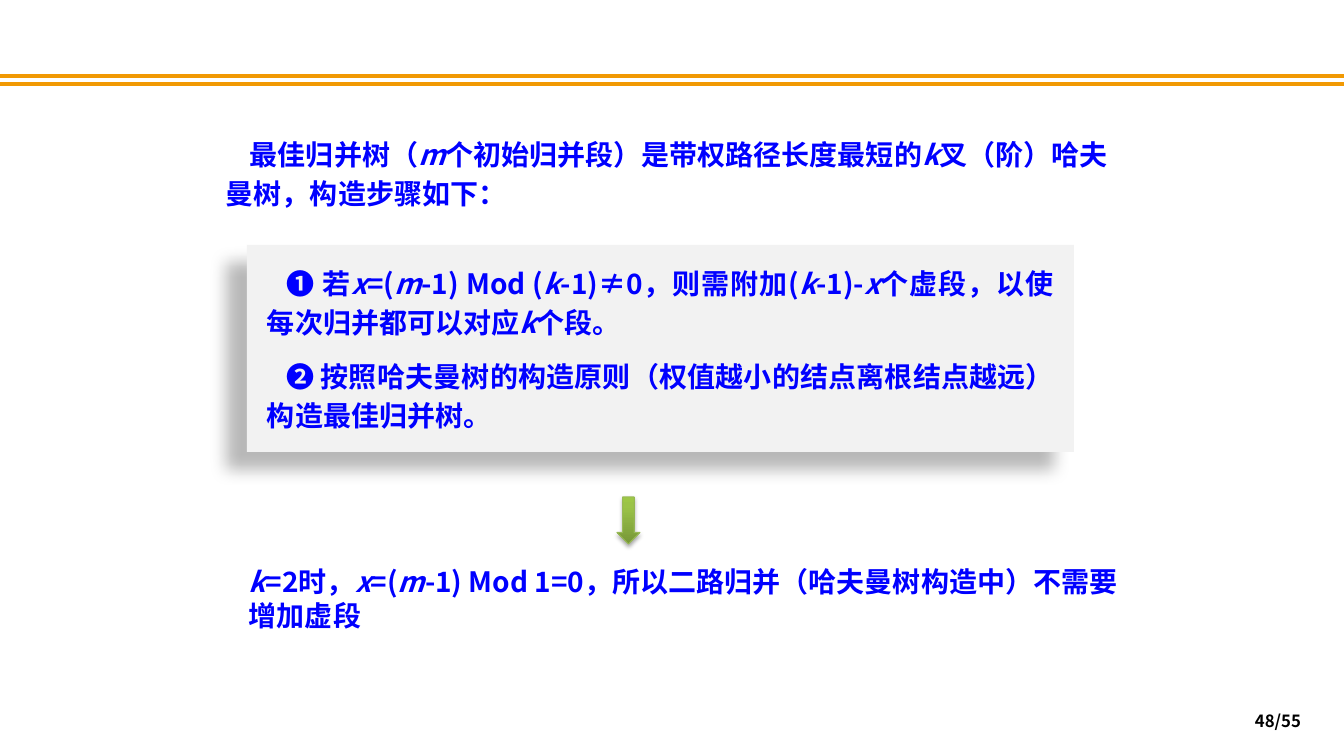
from dataclasses import dataclass

from lxml import etree
from pptx import Presentation
from pptx import util as u
from pptx.dml.color import RGBColor
from pptx.enum import shapes, text
from pptx.oxml import ns

PX = 9144000 / 1008  # EMU per px at 100.8 px to the inch
WIDTH, HEIGHT = 1344, 756


@dataclass(frozen=True)
class Theme:
    font: str = "Noto Sans CJK SC"
    rule: str = "F19903"
    card: str = "F2F2F2"
    body: str = "0000FF"
    number: str = "000000"
    shadow: str = "000000"
    arrow_line: str = "98B955"
    arrow_stops: tuple = ((0, "779737"), (80, "9BC348"), (100, "9DC746"))
    body_size: int = 20
    number_size: int = 12
    leading: int = 28
    paragraph_gap: int = 10


def px(*lengths):
    return [u.Emu(round(length * PX)) for length in lengths]


def child(parent, tag, **attributes):
    values = {name: str(value) for name, value in attributes.items()}
    return etree.SubElement(parent, ns.qn(tag), values)


class SlideBuilder:
    def __init__(self, slide, theme):
        self.slide, self.theme = slide, theme

    def rule(self, y):
        line = self.slide.shapes.add_connector(
            shapes.MSO_CONNECTOR.STRAIGHT, *px(0, y, WIDTH, y))
        line.line.color.rgb = RGBColor.from_string(self.theme.rule)
        line.line.width = u.Pt(3)
        child(line._element.spPr, "a:effectLst")

    def shadow(self, shape, alpha, blur, distance, angle):
        """Cast an outer shadow; blur and distance are in points."""
        shape.shadow.inherit = False
        effects = shape._element.spPr.find(ns.qn("a:effectLst"))
        outer = child(effects, "a:outerShdw", blurRad=u.Pt(blur), dist=u.Pt(distance),
                      dir=angle * 60000, algn="ctr", rotWithShape=0)
        color = child(outer, "a:srgbClr", val=self.theme.shadow)
        child(color, "a:alpha", val=alpha * 1000)

    def set_text(self, shape, paragraphs, size, color, align=None, leading=None,
                 indent=0, inset=None, grow=True):
        """Fill a shape with text; *x* marks italics."""
        frame = shape.text_frame
        frame.word_wrap = True
        if grow:
            frame.auto_size = text.MSO_AUTO_SIZE.SHAPE_TO_FIT_TEXT
        if inset:
            frame.margin_left, frame.margin_top = px(*inset)
            frame.margin_right, frame.margin_bottom = px(*inset)
        for index, content in enumerate(paragraphs):
            paragraph = frame.add_paragraph() if index else frame.paragraphs[0]
            paragraph.alignment = align
            if leading:
                paragraph.line_spacing = u.Pt(leading)
            if index:
                paragraph.space_before = u.Pt(self.theme.paragraph_gap)
            if indent:
                paragraph._p.get_or_add_pPr().set("indent", str(px(indent)[0]))
            font = paragraph.font
            font.size, font.bold, font.name = u.Pt(size), True, self.theme.font
            font.color.rgb = RGBColor.from_string(color)
            defaults = paragraph._p.pPr.find(ns.qn("a:defRPr"))
            child(defaults, "a:ea", typeface=self.theme.font)
            for position, part in enumerate(content.split("*")):
                if part:
                    run = paragraph.add_run()
                    run.text = part
                    if position % 2:
                        run.font.italic = True

    def body_text(self, box, content, **options):
        shape = self.slide.shapes.add_textbox(*px(*box))
        self.set_text(shape, [content], self.theme.body_size, self.theme.body, **options)

    def card(self, box, paragraphs):
        shape = self.slide.shapes.add_shape(shapes.MSO_SHAPE.RECTANGLE, *px(*box))
        shape.fill.solid()
        shape.fill.fore_color.rgb = RGBColor.from_string(self.theme.card)
        shape.line.fill.background()
        self.shadow(shape, alpha=28, blur=11.8, distance=19.7, angle=141)
        shape.text_frame.vertical_anchor = text.MSO_ANCHOR.TOP
        self.set_text(shape, paragraphs, self.theme.body_size, self.theme.body,
                      align=text.PP_ALIGN.JUSTIFY, leading=self.theme.leading,
                      indent=19, inset=(20, 16))

    def down_arrow(self, box):
        shape = self.slide.shapes.add_shape(shapes.MSO_SHAPE.DOWN_ARROW, *px(*box))
        shape.fill.gradient()
        gradient = shape._element.spPr.find(ns.qn("a:gradFill"))
        for element in list(gradient):
            gradient.remove(element)
        stops = child(gradient, "a:gsLst")
        for position, color in self.theme.arrow_stops:
            stop = child(stops, "a:gs", pos=position * 1000)
            child(stop, "a:srgbClr", val=color)
        child(gradient, "a:lin", ang=270 * 60000, scaled=0)
        shape.line.color.rgb = RGBColor.from_string(self.theme.arrow_line)
        shape.line.width = u.Pt(0.75)
        self.shadow(shape, alpha=35, blur=3.1, distance=1.8, angle=90)

    def page_number(self, box, content):
        shape = self.slide.shapes.add_textbox(*px(*box))
        shape.text_frame.vertical_anchor = text.MSO_ANCHOR.MIDDLE
        self.set_text(shape, [content], self.theme.number_size, self.theme.number,
                      align=text.PP_ALIGN.RIGHT, grow=False)


def main():
    presentation = Presentation()
    presentation.slide_width, presentation.slide_height = px(WIDTH, HEIGHT)
    slide = presentation.slides.add_slide(presentation.slide_layouts[6])
    theme = Theme()
    builder = SlideBuilder(slide, theme)

    for y in (76, 84):
        builder.rule(y)
    builder.card((247, 245, 827, 207), [
        "❶ 若*x*=(*m*-1) Mod (*k*-1)≠0，则需附加(*k*-1)-*x*个虚段，以使每次归并都可以对应*k*个段。",
        "❷ 按照哈夫曼树的构造原则（权值越小的结点离根结点越远）构造最佳归并树。",
    ])
    builder.body_text(
        (216, 127, 913, 89),
        "最佳归并树（*m*个初始归并段）是带权路径长度最短的*k*叉（阶）哈夫曼树，构造步骤如下：",
        leading=theme.leading, indent=24)
    builder.body_text(
        (239, 560, 905, 78),
        "*k*=2时，*x*=(*m*-1) Mod 1=0，所以二路归并（哈夫曼树构造中）不需要增加虚段")
    builder.down_arrow((617, 497, 23, 47))
    builder.page_number((998, 701, 313, 40), "48/55")

    presentation.save("out.pptx")


if __name__ == "__main__":
    main()
